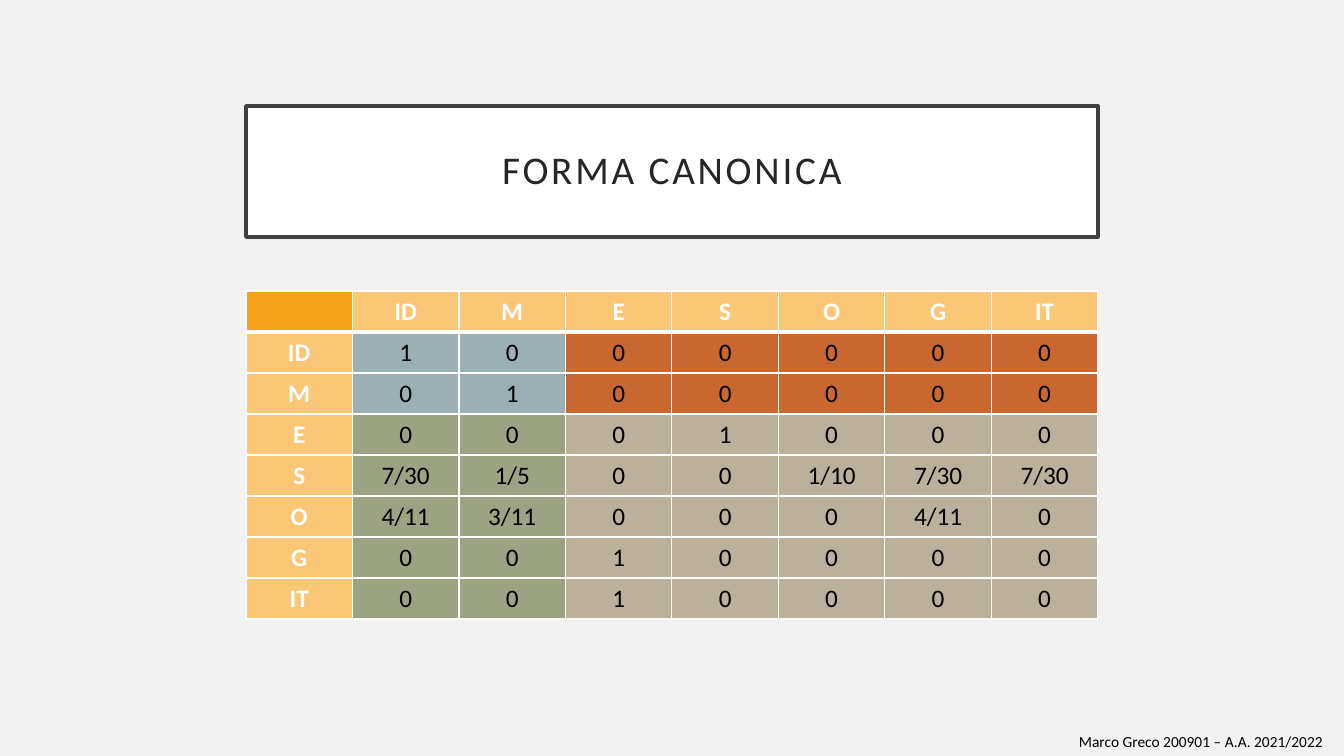
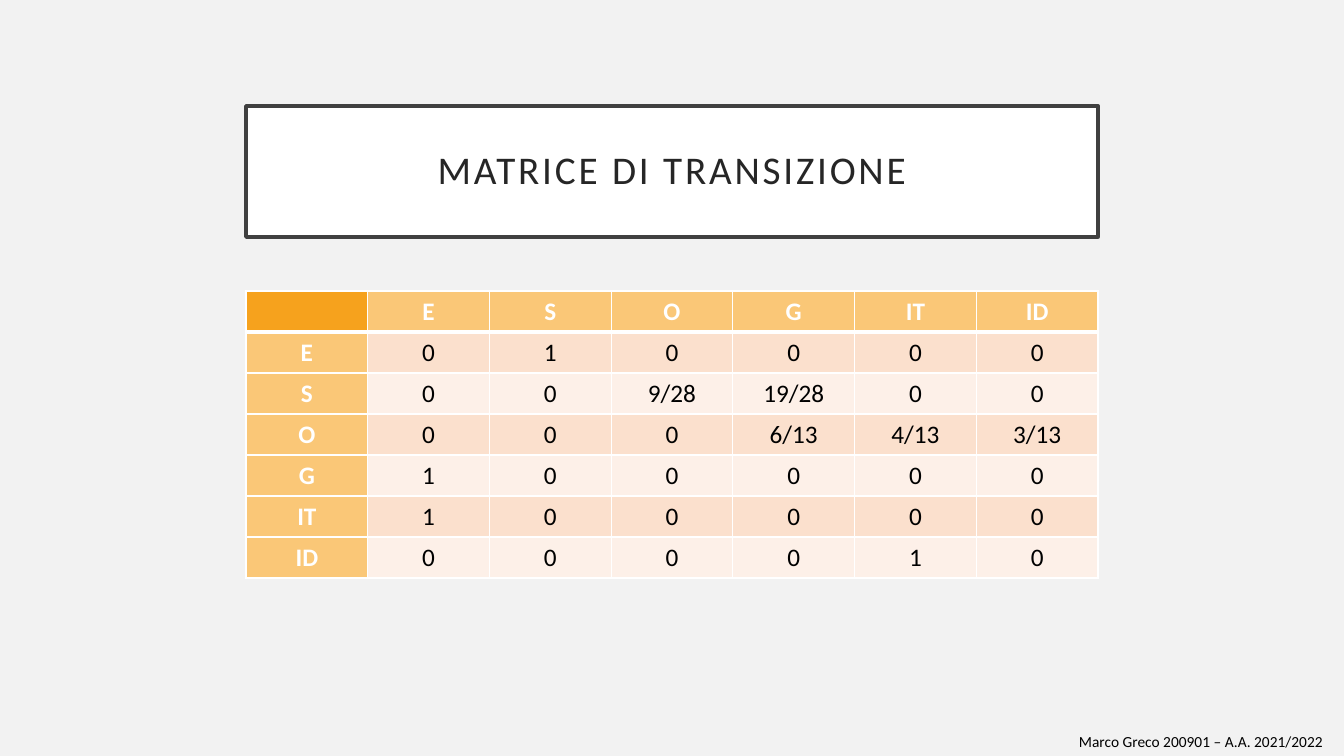
from lxml import etree
from pptx import Presentation
from pptx import util as u
from pptx.dml.color import RGBColor
from pptx.enum import shapes, text
from pptx.oxml import ns

SCALE = 914400 / 100.8  # EMU per pixel
FONT = "Calibri"

PAPER = RGBColor(0xF2, 0xF2, 0xF2)
WHITE = RGBColor(0xFF, 0xFF, 0xFF)
BLACK = RGBColor(0x00, 0x00, 0x00)
FRAME = RGBColor(0x40, 0x40, 0x40)
TITLE_INK = RGBColor(0x26, 0x26, 0x26)
CORNER = RGBColor(0xF6, 0xA2, 0x1D)
HEADER = RGBColor(0xFA, 0xC7, 0x77)
BLUE = RGBColor(0x9B, 0xAF, 0xB5)
RUST = RGBColor(0xC9, 0x67, 0x31)
GREEN = RGBColor(0x9C, 0xA3, 0x83)
SAND = RGBColor(0xBA, 0xB0, 0x9B)
BAND_DARK = RGBColor(0xFB, 0xE0, 0xCD)
BAND_LIGHT = RGBColor(0xFD, 0xF0, 0xE8)

# Boxes in pixels: left, top, width, height
TITLE_BOX = (246, 106, 852, 131)
FOOTER_BOX = (1069, 727, 275, 29)
TABLE_LEFT, TABLE_TOP, TABLE_WIDTH = 246, 291, 852
ROW_HEIGHT = 41


def px(*lengths):
    return [u.Emu(round(n * SCALE)) for n in lengths]


def write(p, words, size, color, bold=False, align=text.PP_ALIGN.CENTER):
    p.text = words
    p.alignment = align
    for r in p.runs:
        r.font.name, r.font.size, r.font.bold = FONT, u.Pt(size), bold
        r.font.color.rgb = color


def add_title(s, box, words):
    sp = s.shapes.add_shape(shapes.MSO_SHAPE.RECTANGLE, *px(*box))
    sp.shadow.inherit = False
    sp.fill.solid()
    sp.fill.fore_color.rgb = WHITE
    sp.line.color.rgb = FRAME
    sp.line.width = u.Pt(2.5)
    tf = sp.text_frame
    tf.word_wrap = True
    tf.vertical_anchor = text.MSO_ANCHOR.MIDDLE
    tf.margin_left = tf.margin_right = tf.margin_top = tf.margin_bottom = u.Inches(0.2)
    p = tf.paragraphs[0]
    write(p, words, 28, TITLE_INK)
    p.line_spacing = 0.9
    p.runs[0].font._element.set("spc", "200")


def add_footer(s, box):
    tf = s.shapes.add_textbox(*px(*box)).text_frame
    tf.word_wrap = True
    write(tf.paragraphs[0], "Marco Greco 200901 – A.A. 2021/2022", 11, BLACK,
          align=text.PP_ALIGN.LEFT)


def set_borders(cell, top, bottom):
    tcPr = cell._tc.get_or_add_tcPr()
    for side, width in (("L", 1), ("R", 1), ("T", top), ("B", bottom)):
        ln = etree.SubElement(tcPr, ns.qn("a:ln" + side), w=str(u.Pt(width)))
        fill = etree.SubElement(ln, ns.qn("a:solidFill"))
        etree.SubElement(fill, ns.qn("a:srgbClr"), val=str(WHITE))


def add_matrix(s, box, columns, rows, body_fill):
    """Each row is its label followed by its values."""
    grid = [["", *columns]] + rows
    n_rows, n_cols = len(grid), len(grid[0])
    left, top, width, height = px(*box)
    table = s.shapes.add_table(n_rows, n_cols, left, top, width, height).table
    table.first_row = table.horz_banding = False
    for i, row in enumerate(grid):
        for j, value in enumerate(row):
            cell = table.cell(i, j)
            is_header = i == 0 or j == 0
            # The rule under the header row is thicker
            set_borders(cell, 3 if i == 1 else 1, 3 if i == 0 else 1)
            cell.fill.solid()
            if i == j == 0:
                cell.fill.fore_color.rgb = CORNER
            else:
                cell.fill.fore_color.rgb = HEADER if is_header else body_fill(i, j)
            write(cell.text_frame.paragraphs[0], value, 18,
                  WHITE if is_header else BLACK, bold=is_header)


def quadrants(i, j):
    if i <= 2:
        return BLUE if j <= 2 else RUST
    return GREEN if j <= 2 else SAND


def bands(i, j):
    return BAND_DARK if i % 2 else BAND_LIGHT


def matrix_slide(prs, title, columns, lines, body_fill):
    s = prs.slides.add_slide(prs.slide_layouts[6])
    rows = [line.split() for line in lines]
    add_footer(s, FOOTER_BOX)
    add_title(s, TITLE_BOX, title)
    box = (TABLE_LEFT, TABLE_TOP, TABLE_WIDTH, ROW_HEIGHT * (len(rows) + 1))
    add_matrix(s, box, columns.split(), rows, body_fill)


prs = Presentation()
prs.slide_width, prs.slide_height = px(1344, 756)
paper = prs.slide_master.background.fill
paper.solid()
paper.fore_color.rgb = PAPER

# Canonical form: absorbing states first
matrix_slide(prs, "FORMA CANONICA", "ID M E S O G IT", [
    "ID 1 0 0 0 0 0 0",
    "M 0 1 0 0 0 0 0",
    "E 0 0 0 1 0 0 0",
    "S 7/30 1/5 0 0 1/10 7/30 7/30",
    "O 4/11 3/11 0 0 0 4/11 0",
    "G 0 0 1 0 0 0 0",
    "IT 0 0 1 0 0 0 0",
], quadrants)

# Transition matrix
matrix_slide(prs, "MATRICE DI TRANSIZIONE", "E S O G IT ID", [
    "E 0 1 0 0 0 0",
    "S 0 0 9/28 19/28 0 0",
    "O 0 0 0 6/13 4/13 3/13",
    "G 1 0 0 0 0 0",
    "IT 1 0 0 0 0 0",
    "ID 0 0 0 0 1 0",
], bands)

prs.save("out.pptx")
